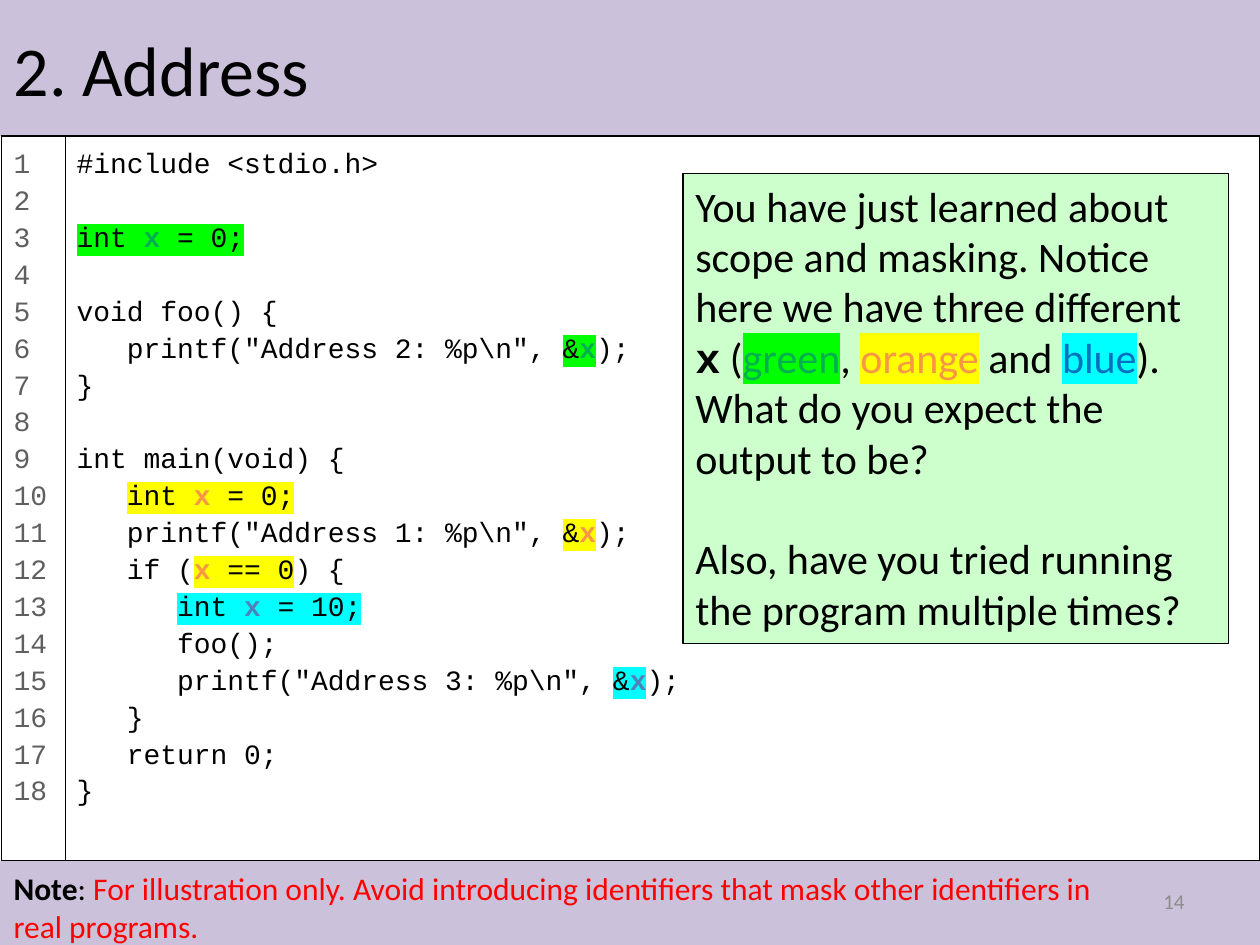
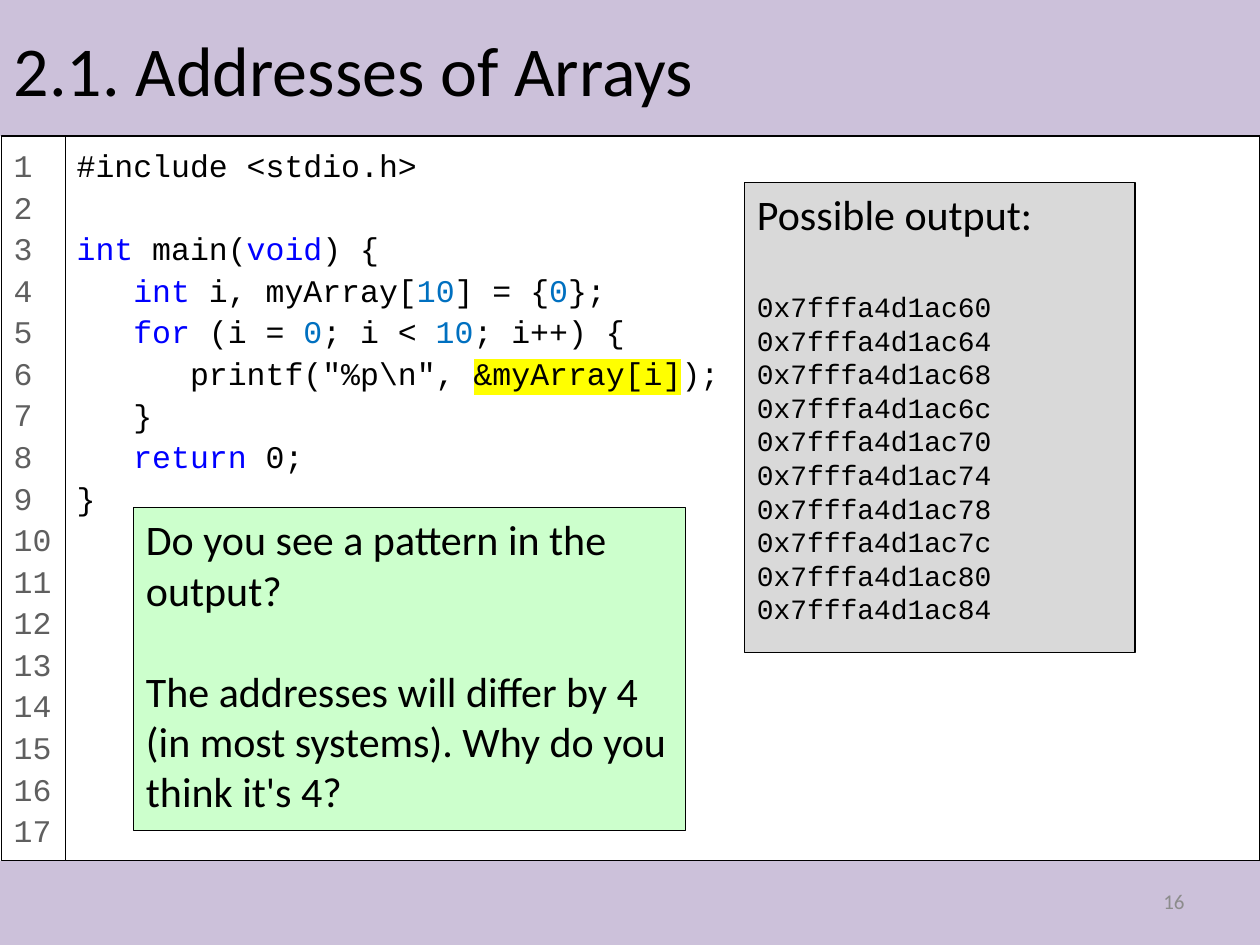
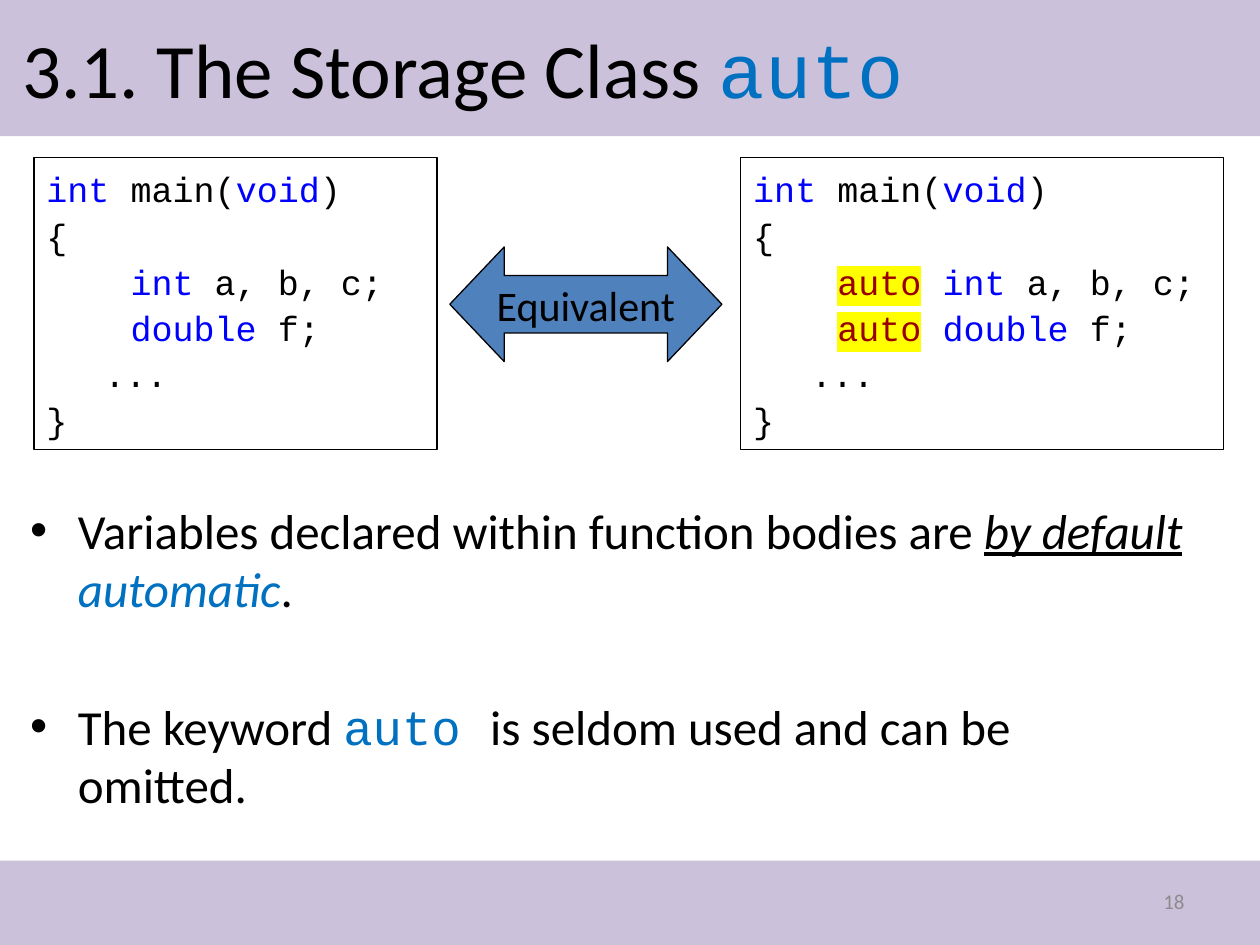
from lxml.etree import SubElement
from pptx import Presentation
from pptx.dml.color import RGBColor
from pptx.enum.shapes import MSO_SHAPE as Shape
from pptx.enum.text import MSO_ANCHOR as Anchor, PP_ALIGN as Align
from pptx.oxml.ns import qn
from pptx.util import Inches, Pt

BLACK = RGBColor(0x00, 0x00, 0x00)
WHITE = RGBColor(0xFF, 0xFF, 0xFF)
LAVENDER = RGBColor(0xCC, 0xC1, 0xDA)
PALE_GREEN = RGBColor(0xCC, 0xFF, 0xCC)
LIGHT_GRAY = RGBColor(0xD9, 0xD9, 0xD9)
NUMBER_GRAY = RGBColor(0x8C, 0x8C, 0x8C)
GUTTER_GRAY = RGBColor(0x5F, 0x5F, 0x5F)
KEYWORD_BLUE = RGBColor(0x00, 0x00, 0xFF)
ACCENT_BLUE = RGBColor(0x00, 0x70, 0xC0)
STEEL_BLUE = RGBColor(0x4F, 0x81, 0xBD)
GREEN = RGBColor(0x00, 0xB0, 0x50)
ORANGE = RGBColor(0xF7, 0x96, 0x46)
RED = RGBColor(0xFF, 0x00, 0x00)
DARK_RED = RGBColor(0x99, 0x00, 0x00)
LIME = RGBColor(0x00, 0xFF, 0x00)
YELLOW = RGBColor(0xFF, 0xFF, 0x00)
CYAN = RGBColor(0x00, 0xFF, 0xFF)

SANS = "Calibri"
MONO = "Courier New"
CODE_SPACING = 1.1
LINE_HEIGHT = 1.2
BAND_TOP = 6.83
TITLE_HEIGHT = 1.08
GUTTER_RIGHT = 0.51


def styled(text, **style):
    return text, style


def keyword(text):
    return styled(text, color=KEYWORD_BLUE)


def number(text):
    return styled(text, color=ACCENT_BLUE)


def marked(text, highlight):
    return styled(text, highlight=highlight)


def variable(color, highlight):
    return styled("x", color=color, highlight=highlight, bold=True)


def declaration(indent, color, highlight, value):
    return [indent, marked("int ", highlight), variable(color, highlight),
            marked(f" = {value};", highlight)]


def print_address(indent, label, color, highlight):
    return [f'{indent}printf("Address {label}: %p\\n", ',
            marked("&", highlight), variable(color, highlight), ");"]


def add_run(paragraph, text, font, size, color=BLACK, highlight=None,
            bold=False, italic=False, underline=False):
    run = paragraph.add_run()
    run.text = text
    run.font.size = Pt(size)
    run.font.bold = bold
    run.font.italic = italic
    run.font.underline = underline
    run.font.color.rgb = color
    if highlight is not None:
        mark = SubElement(run.font._element, qn("a:highlight"))
        SubElement(mark, qn("a:srgbClr"), val=str(highlight))
    run.font.name = font


def write_lines(frame, lines, size, font=SANS, spacing=1.0, align=Align.LEFT, **base):
    paragraph = None
    gap = 0
    for line in lines:
        if not line:
            gap += size * LINE_HEIGHT * spacing
            continue
        paragraph = frame.paragraphs[0] if paragraph is None else frame.add_paragraph()
        paragraph.alignment = align
        paragraph.line_spacing = spacing
        if gap:
            paragraph.space_before = Pt(round(gap, 1))
            gap = 0
        for item in [line] if isinstance(line, str) else line:
            text, style = (item, {}) if isinstance(item, str) else item
            if text:
                add_run(paragraph, text, **{"font": font, "size": size, **base, **style})


def add_text(slide, bounds, lines, size, anchor=Anchor.TOP, **options):
    box = slide.shapes.add_textbox(*map(Inches, bounds))
    frame = box.text_frame
    frame.word_wrap = True
    frame.vertical_anchor = anchor
    write_lines(frame, lines, size, **options)
    return frame


def add_panel(slide, bounds, lines=(), size=24, kind=Shape.RECTANGLE, fill=WHITE,
              outlined=True, anchor=Anchor.TOP, **options):
    shape = slide.shapes.add_shape(kind, *map(Inches, bounds))
    shape.shadow.inherit = False
    shape.fill.solid()
    shape.fill.fore_color.rgb = fill
    if outlined:
        shape.line.color.rgb = BLACK
        shape.line.width = Pt(0.75)
    else:
        shape.line.fill.background()
    shape.text_frame.word_wrap = True
    shape.text_frame.vertical_anchor = anchor
    write_lines(shape.text_frame, lines, size, **options)
    return shape


def add_code(slide, bounds, lines, size, **options):
    return add_panel(slide, bounds, lines, size, font=MONO, spacing=CODE_SPACING, **options)


def add_listing(slide, lines, size, line_count):
    height = BAND_TOP - TITLE_HEIGHT
    add_code(slide, (GUTTER_RIGHT, TITLE_HEIGHT, 10 - GUTTER_RIGHT, height), lines, size)
    numbers = [str(index) for index in range(1, line_count + 1)]
    gutter = add_code(slide, (0.01, TITLE_HEIGHT, GUTTER_RIGHT, height), numbers, size,
                      color=GUTTER_GRAY)
    gutter.text_frame.margin_right = 0


def add_snippet(slide, bounds, storage=()):
    lines = [
        [keyword("int"), " main(", keyword("void"), ")"],
        "{",
        ["    ", *storage, keyword("int"), " a, b, c;"],
        ["    ", *storage, keyword("double"), " f;"],
        "\t...",
        "}",
    ]
    snippet = add_code(slide, bounds, lines, 20)
    properties = snippet.text_frame.paragraphs[4]._p.get_or_add_pPr()
    tabs = SubElement(properties, qn("a:tabLst"))
    SubElement(tabs, qn("a:tab"), pos=str(Inches(0.46)), algn="l")


def add_bullets(slide, bounds, lines, size, gap):
    frame = add_text(slide, bounds, lines, size)
    for index, paragraph in enumerate(frame.paragraphs):
        properties = paragraph._p.get_or_add_pPr()
        properties.set("marL", str(Inches(0.38)))
        properties.set("indent", str(Inches(-0.38)))
        SubElement(properties, qn("a:buFont"), typeface="Arial")
        SubElement(properties, qn("a:buChar"), char="•")
        if index:
            paragraph.space_before = Pt(gap)


def add_base(presentation, page, title, title_bounds=(0.01, 0, 9.99, TITLE_HEIGHT),
             title_size=40):
    slide = presentation.slides.add_slide(presentation.slide_layouts[6])
    for top, height in ((0, TITLE_HEIGHT), (BAND_TOP, 7.5 - BAND_TOP)):
        add_panel(slide, (0, top, 10, height), fill=LAVENDER, outlined=False)
    add_text(slide, (7.17, 6.95, 2.33, 0.4), [str(page)], 12, anchor=Anchor.MIDDLE,
             align=Align.RIGHT, color=NUMBER_GRAY)
    add_text(slide, title_bounds, [title], title_size, anchor=Anchor.MIDDLE)
    return slide


def build_address(presentation):
    slide = add_base(presentation, 14, "2. Address")
    add_listing(slide, [
        "#include <stdio.h>",
        "",
        declaration("", GREEN, LIME, 0),
        "",
        "void foo() {",
        print_address("   ", 2, GREEN, LIME),
        "}",
        "",
        "int main(void) {",
        declaration("   ", ORANGE, YELLOW, 0),
        print_address("   ", 1, ORANGE, YELLOW),
        ["   if (", variable(ORANGE, YELLOW), marked(" == 0", YELLOW), ") {"],
        declaration("      ", STEEL_BLUE, CYAN, 10),
        "      foo();",
        print_address("      ", 3, STEEL_BLUE, CYAN),
        "   }",
        "   return 0;",
        "}",
    ], 16, 18)
    add_panel(slide, (5.42, 1.38, 4.33, 3.73), [
        ["You have just learned about scope and masking. "
         "Notice here we have three different ",
         styled("x", font=MONO, bold=True), " (",
         styled("green", color=GREEN, highlight=LIME), ", ",
         styled("orange", color=ORANGE, highlight=YELLOW), " and ",
         styled("blue", color=ACCENT_BLUE, highlight=CYAN),
         "). What do you expect the output to be?"],
        "",
        "Also, have you tried running the program multiple times?",
    ], fill=PALE_GREEN)
    add_text(slide, (0.01, 6.85, 8.97, 0.71), [
        [styled("Note", bold=True), ": ",
         styled("For illustration only. Avoid introducing identifiers that mask "
                "other identifiers in real programs.", color=RED)],
    ], 18)


def build_arrays(presentation):
    slide = add_base(presentation, 16, "2.1. Addresses of Arrays")
    add_listing(slide, [
        "#include <stdio.h>",
        "",
        [keyword("int"), " main(", keyword("void"), ") {"],
        ["   ", keyword("int "), "i, myArray[", number("10"), "] = {", number("0"), "};"],
        ["   ", keyword("for"), " (i = ", number("0"), "; i < ", number("10"), "; i++) {"],
        ['      printf("%p\\n", ', marked("&myArray[i]", YELLOW), ");"],
        "   }",
        ["   ", keyword("return"), " 0;"],
        "}",
    ], 18, 17)
    first_address = 0x7fffa4d1ac60
    addresses = [[styled(f"0x{first_address + 4 * index:x}", font=MONO, size=16)]
                 for index in range(10)]
    add_panel(slide, (5.91, 1.45, 3.1, 3.73), ["Possible output:", "", *addresses],
              fill=LIGHT_GRAY)
    add_panel(slide, (1.06, 4.03, 4.38, 2.56), [
        "Do you see a pattern in the output?",
        "",
        "The addresses will differ by 4 (in most systems). Why do you think it's 4?",
    ], fill=PALE_GREEN)


def build_storage_class(presentation):
    auto = styled("auto", font=MONO, color=ACCENT_BLUE)
    slide = add_base(presentation, 18, ["3.1. The Storage Class ", auto],
                     (0.08, 0.08, 9, 0.92), 44)
    add_bullets(slide, (0.14, 3.92, 9.36, 2.67), [
        ["Variables declared within function bodies are ",
         styled("by default", italic=True, underline=True), " ",
         styled("automatic", color=ACCENT_BLUE, italic=True), "."],
        ["The keyword ", styled("auto ", font=MONO, color=ACCENT_BLUE),
         "is seldom used and can be omitted."],
    ], 28, 44.8)
    add_snippet(slide, (0.27, 1.25, 3.2, 2.32))
    add_snippet(slide, (5.88, 1.25, 3.83, 2.32),
                [styled("auto", color=DARK_RED, highlight=YELLOW), " "])
    arrow = add_panel(slide, (3.57, 1.96, 2.16, 0.91), ["Equivalent"],
                      kind=Shape.LEFT_RIGHT_ARROW, fill=STEEL_BLUE,
                      anchor=Anchor.MIDDLE, align=Align.CENTER)
    arrow.adjustments[0] = 0.5
    arrow.adjustments[1] = 0.475
    arrow.text_frame.word_wrap = False


def main():
    presentation = Presentation()
    presentation.slide_width = Inches(10)
    presentation.slide_height = Inches(7.5)
    build_address(presentation)
    build_arrays(presentation)
    build_storage_class(presentation)
    presentation.save("out.pptx")


if __name__ == "__main__":
    main()
